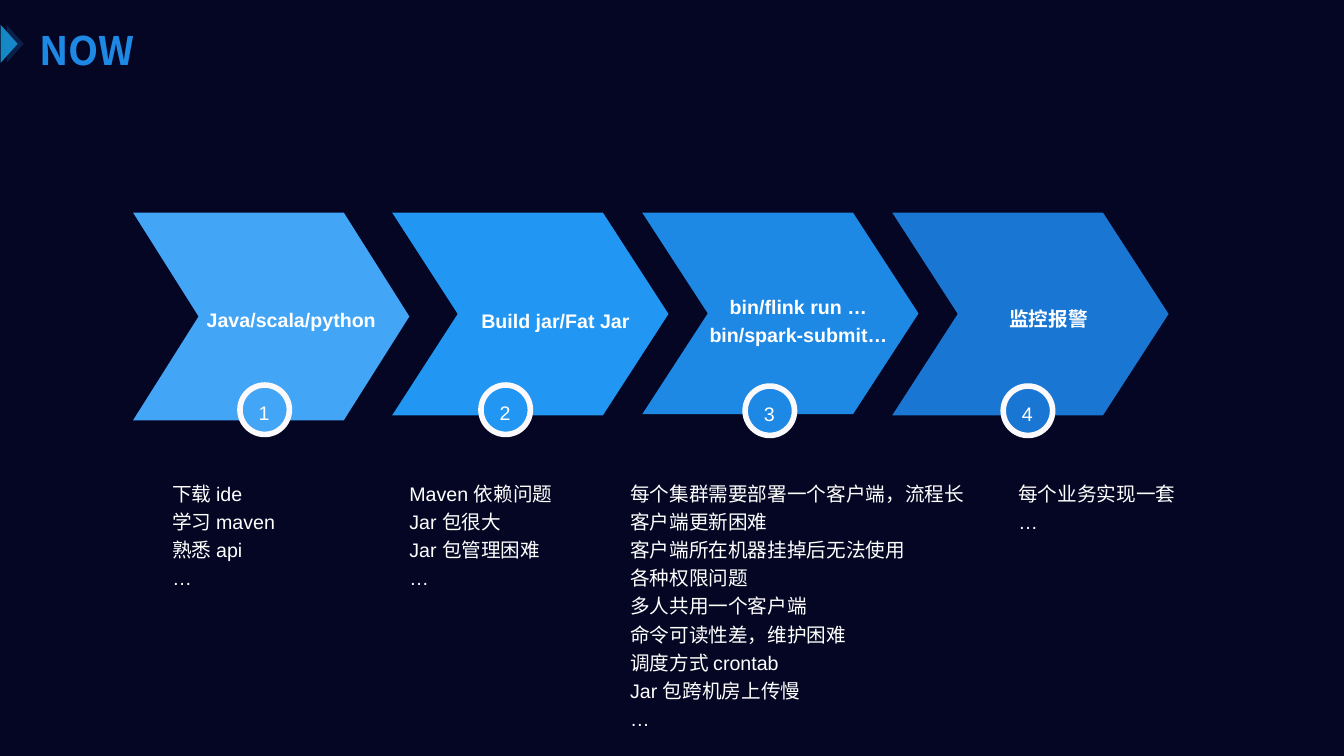
from lxml import etree
from pptx import Presentation
from pptx import util as u
from pptx.dml.color import RGBColor
from pptx.enum import shapes, text
from pptx.oxml.ns import qn

PX = 9144  # 100 px to the inch
COLORS = {
    "bg": "040623", "white": "FFFFFF", "ring": "FBF9FC", "teal": "1588C4",
    "title": "1E88E5", "step1": "42A5F5", "step2": "2196F3",
    "step3": "1E88E5", "step4": "1976D2",
}
SHAPE = shapes.MSO_SHAPE
ALIGN = text.PP_ALIGN
ANCHOR = text.MSO_ANCHOR


class Deck:
    def __init__(self, width, height):
        self.prs = Presentation()
        self.prs.slide_width, self.prs.slide_height = width * PX, height * PX
        self.s = self.prs.slides.add_slide(self.prs.slide_layouts[6])
        fill = self.s.background.fill
        fill.solid()
        fill.fore_color.rgb = self.color("bg")

    def color(self, name):
        return RGBColor.from_string(COLORS[name])

    def shape(self, kind, box, fill, ring=0, rotation=0, alpha=None):
        """Add a preset shape; ring is the outline width in points, alpha a percentage."""
        sp = self.s.shapes.add_shape(kind, *(v * PX for v in box))
        sp.shadow.inherit = False
        sp.rotation = rotation
        sp.fill.solid()
        sp.fill.fore_color.rgb = self.color(fill)
        if alpha is not None:
            clr = sp.fill._xPr.find(qn("a:solidFill"))[0]
            etree.SubElement(clr, qn("a:alpha"), val=str(alpha * 1000))
        if ring:
            sp.line.color.rgb = self.color("ring")
            sp.line.width = u.Pt(ring)
        else:
            sp.line.fill.background()
        return sp

    def chevron(self, box, point, fill):
        sp = self.shape(SHAPE.CHEVRON, box, fill)
        sp.adjustments[0] = point / min(box[2:])

    def label(self, box, lines, align=ALIGN.CENTER, anchor=ANCHOR.MIDDLE, size=14,
              bold=False, color="white", font="Arial", spacing=1.2, inset=(0, 0), wrap=True):
        sp = self.s.shapes.add_textbox(*(v * PX for v in box))
        tf = sp.text_frame
        tf.word_wrap = wrap
        tf.vertical_anchor = anchor
        tf.margin_left = tf.margin_right = inset[0] * PX
        tf.margin_top = tf.margin_bottom = inset[1] * PX
        for i, line in enumerate(lines):
            p = tf.add_paragraph() if i else tf.paragraphs[0]
            p.alignment = align
            p.line_spacing = spacing
            r = p.add_run()
            r.text = line
            r.font.name, r.font.size, r.font.bold = font, u.Pt(size), bold
            r.font.color.rgb = self.color(color)

    def title(self, words):
        self.shape(SHAPE.ISOSCELES_TRIANGLE, (-10, 35, 38, 17), "teal", rotation=90)
        self.shape(SHAPE.ISOSCELES_TRIANGLE, (-4, 35, 38, 17), "title", rotation=90, alpha=20)
        self.label((29, -1, 1100, 79), [words], ALIGN.LEFT, ANCHOR.BOTTOM, 28, True,
                   "title", "Noto Sans CJK SC", u.Pt(43), (10, 5))

    def badge(self, left, top, number, fill):
        self.shape(SHAPE.OVAL, (left, top, 49, 49), fill, ring=4)
        self.label((left + 17, top + 7, 14, 36), [str(number)], wrap=False)


# chevron left and height, heading box and lines, badge left and top, notes box and lines
STEPS = [
    (132, 206, (198, 299, 182, 32), ["Java/scala/python"], (238, 382),
     (171, 473, 197, 110), ["下载 ide", "学习 maven", "熟悉 api", "…"]),
    (389, 201, (477, 303, 148, 26), ["Build jar/Fat Jar"], (477, 382),
     (406, 473, 197, 110), ["Maven 依赖问题", "Jar 包很大", "Jar 包管理困难", "…"]),
    (637, 200, (693, 301, 198, 30), ["bin/flink run …", "bin/spark-submit…"], (739, 383),
     (625, 473, 358, 254),
     ["每个集群需要部署一个客户端，流程长", "客户端更新困难", "客户端所在机器挂掉后无法使用",
      "各种权限问题", "多人共用一个客户端", "命令可读性差，维护困难",
      "调度方式 crontab", "Jar 包跨机房上传慢", "…"]),
    (885, 201, (949, 299, 182, 30), ["监控报警"], (995, 383),
     (1010, 473, 197, 54), ["每个业务实现一套", "…"]),
]


def main():
    deck = Deck(1333, 750)
    deck.title("NOW")
    for number, (left, height, head_box, heading, badge, note_box, notes) in enumerate(STEPS, 1):
        fill = f"step{number}"
        deck.chevron((left, 211, 274, height), 65, fill)
        deck.label(head_box, heading, bold=True, wrap=len(heading) > 1)
        deck.badge(*badge, number, fill)
        deck.label(note_box, notes, ALIGN.JUSTIFY, ANCHOR.TOP)
    deck.prs.save("out.pptx")


if __name__ == "__main__":
    main()
